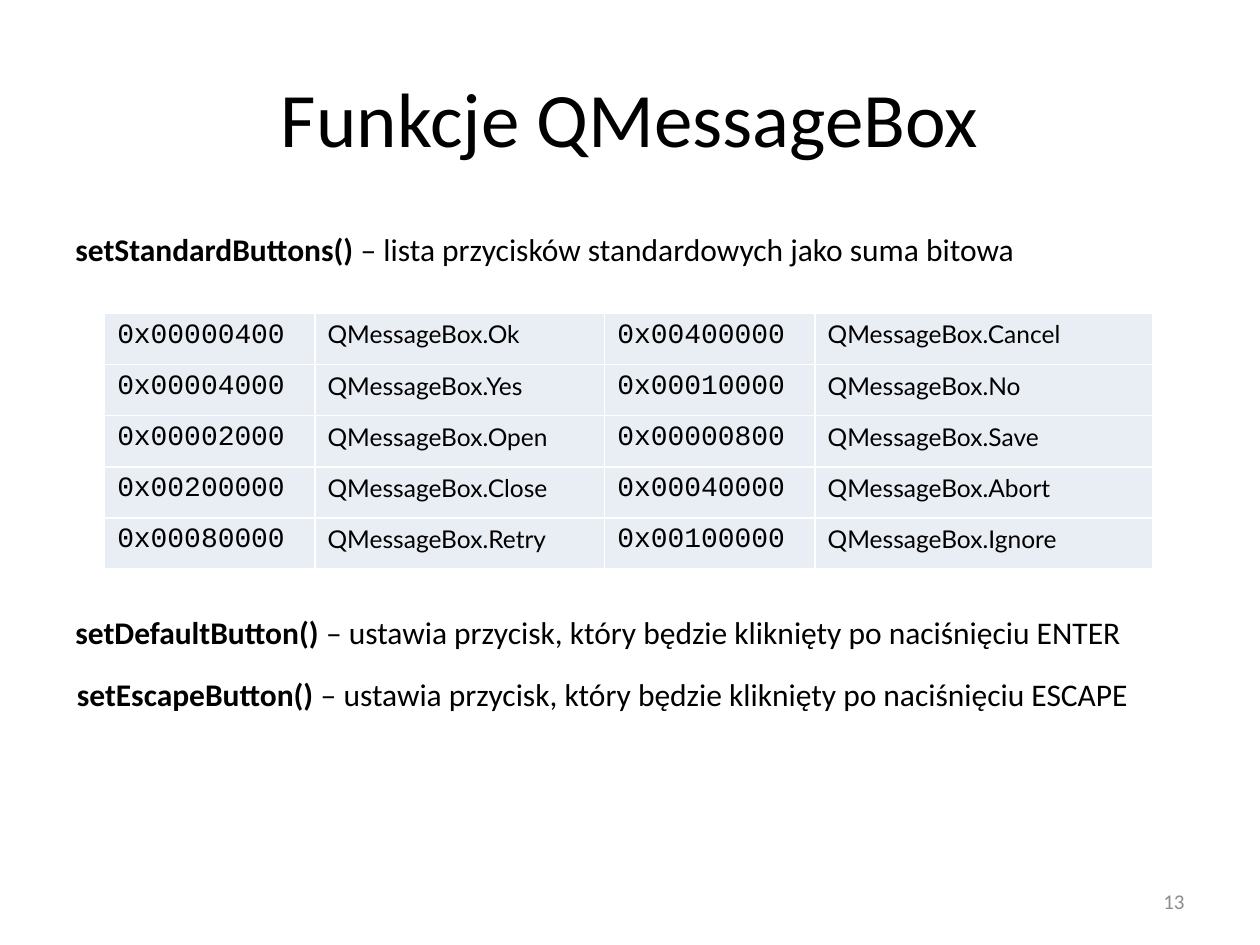
from pptx import Presentation
from pptx.dml.color import RGBColor
from pptx.enum.text import MSO_ANCHOR as Anchor, PP_ALIGN as Align
from pptx.oxml import parse_xml
from pptx.oxml.ns import nsdecls
from pptx.util import Cm, Pt

BLACK = RGBColor(0x00, 0x00, 0x00)
GREY = RGBColor(0x8C, 0x8C, 0x8C)
WHITE = RGBColor(0xFF, 0xFF, 0xFF)
PALE_BLUE = RGBColor(0xE9, 0xED, 0xF4)

COLUMN_WIDTHS = (4.24, 5.84, 4.24, 6.81)
ROW_HEIGHT = 1.03
BUTTONS = (
    ("0x00000400", "Ok", "0x00400000", "Cancel"),
    ("0x00004000", "Yes", "0x00010000", "No"),
    ("0x00002000", "Open", "0x00000800", "Save"),
    ("0x00200000", "Close", "0x00040000", "Abort"),
    ("0x00080000", "Retry", "0x00100000", "Ignore"),
)
FUNCTIONS = (
    (1.27, 4.52, 19.63, "setStandardButtons()", "lista przycisków standardowych jako suma bitowa"),
    (1.27, 12.24, 22.17, "setDefaultButton()",
     "ustawia przycisk, który będzie kliknięty po naciśnięciu ENTER"),
    (1.3, 13.49, 21.95, "setEscapeButton()",
     "ustawia przycisk, który będzie kliknięty po naciśnięciu ESCAPE"),
)


def add_span(para, text, size=18, font="Calibri", color=BLACK, bold=False):
    """Append formatted text to a paragraph."""
    span = para.add_run()
    span.text = text
    span.font.size = Pt(size)
    span.font.name = font
    span.font.color.rgb = color
    span.font.bold = bold


def place(shape, left, top, width, height):
    """Set the position and size of a shape in centimetres."""
    shape.left, shape.top = Cm(left), Cm(top)
    shape.width, shape.height = Cm(width), Cm(height)


def add_title(page, text):
    """Fill the title placeholder."""
    title = page.shapes.title
    place(title, 1.27, 0.76, 22.86, 3.18)
    title.text_frame.vertical_anchor = Anchor.MIDDLE
    para = title.text_frame.paragraphs[0]
    para.alignment = Align.CENTER
    add_span(para, text, size=44)


def add_box(page, left, top, width, align=Align.LEFT, anchor=Anchor.TOP):
    """Add a one-line text box and return its paragraph."""
    box = page.shapes.add_textbox(Cm(left), Cm(top), Cm(width), Cm(1.02))
    box.text_frame.word_wrap = True
    box.text_frame.vertical_anchor = anchor
    para = box.text_frame.paragraphs[0]
    para.alignment = align
    return para


def add_function(page, left, top, width, name, description):
    """Add a bold function name followed by its description."""
    para = add_box(page, left, top, width)
    add_span(para, name, bold=True)
    add_span(para, f" – {description}")


def set_borders(cell, color, width):
    """Draw all four borders of a table cell."""
    properties = cell._tc.get_or_add_tcPr()
    for index, side in enumerate(("lnL", "lnR", "lnT", "lnB")):
        properties.insert(index, parse_xml(
            f'<a:{side} {nsdecls("a")} w="{Pt(width)}"><a:solidFill>'
            f'<a:srgbClr val="{color}"/></a:solidFill></a:{side}>'))


def add_button_table(page, left, top):
    """Add the table of button values and names."""
    shape = page.shapes.add_table(
        len(BUTTONS), len(COLUMN_WIDTHS), Cm(left), Cm(top),
        Cm(sum(COLUMN_WIDTHS)), Cm(ROW_HEIGHT * len(BUTTONS)))
    table = shape.table
    table.first_row = table.horz_banding = False
    for column, width in zip(table.columns, COLUMN_WIDTHS):
        column.width = Cm(width)
    for row, values in zip(table.rows, BUTTONS):
        row.height = Cm(ROW_HEIGHT)
        for index, (cell, value) in enumerate(zip(row.cells, values)):
            cell.fill.solid()
            cell.fill.fore_color.rgb = PALE_BLUE
            set_borders(cell, WHITE, 1)
            para = cell.text_frame.paragraphs[0]
            if index % 2:
                add_span(para, f"QMessageBox.{value}", size=14, font="Lato")
            else:
                add_span(para, value, size=16, font="Courier New")


def main():
    """Build and save the slide."""
    deck = Presentation()
    deck.slide_width, deck.slide_height = Cm(25.4), Cm(19.05)
    page = deck.slides.add_slide(deck.slide_layouts[5])
    add_title(page, "Funkcje QMessageBox")
    for function in FUNCTIONS:
        add_function(page, *function)
    add_button_table(page, 2.11, 6.32)
    number = add_box(page, 18.2, 17.65, 5.93, align=Align.RIGHT, anchor=Anchor.MIDDLE)
    add_span(number, "13", size=12, color=GREY)
    deck.save("out.pptx")


if __name__ == "__main__":
    main()
